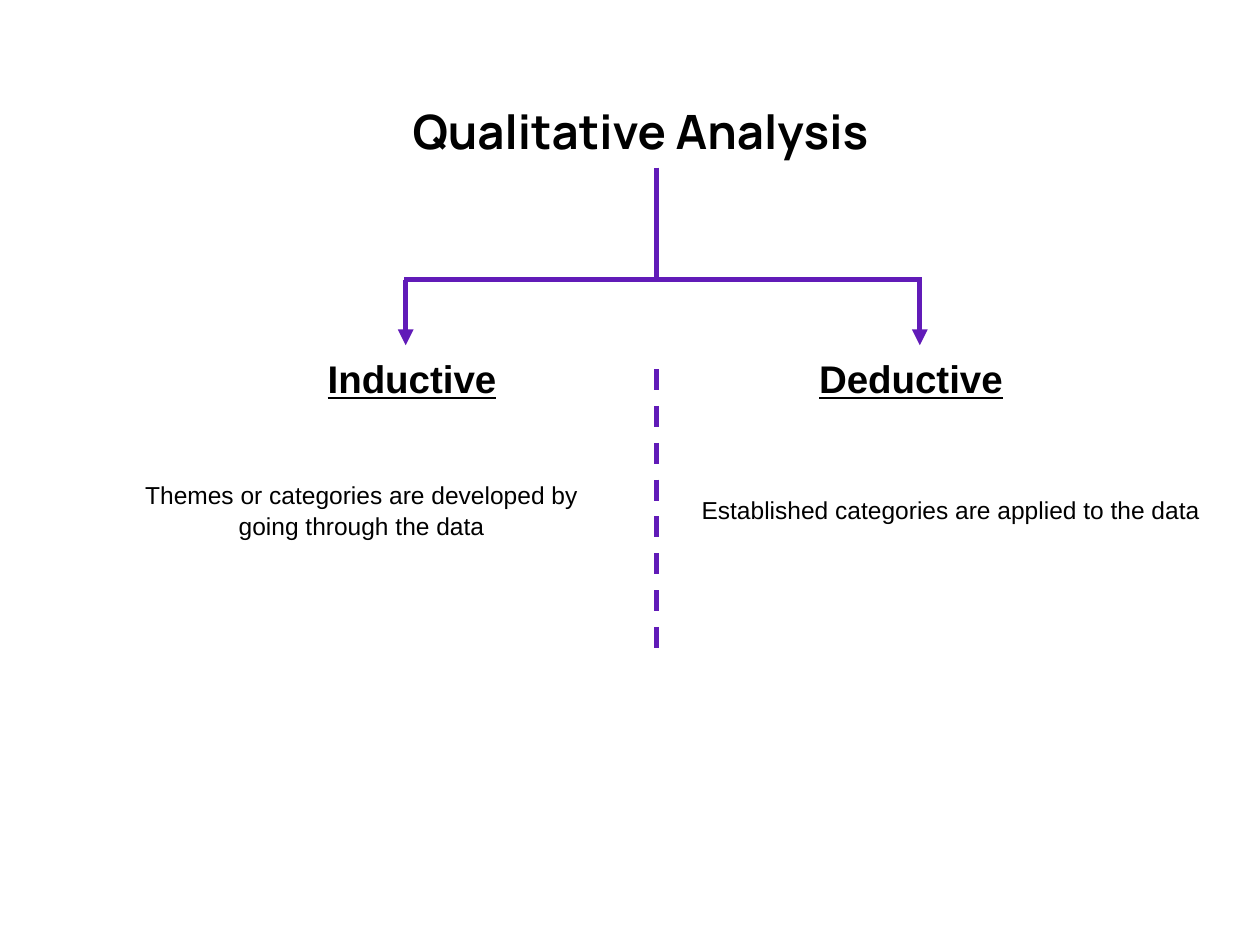
from lxml import etree
from pptx import Presentation
from pptx import util as u
from pptx.dml.color import RGBColor
from pptx.enum import dml, shapes, text
from pptx.oxml import ns

CENTER = text.PP_ALIGN.CENTER


def color(value):
    return RGBColor.from_string(value)


class Deck:
    ink, accent = "000000", "611BB8"
    body_font, title_font = "Arial", "Manrope"

    def __init__(self, width, height):
        self.prs = Presentation()
        self.prs.slide_width, self.prs.slide_height = u.Inches(width), u.Inches(height)
        self.s = self.prs.slides.add_slide(self.prs.slide_layouts[5])

    def set_text(self, tf, words, size, align=CENTER, name=None, bold=False, underline=False):
        p = tf.paragraphs[0]
        p.text, p.alignment = words, align
        f = p.font
        f.name, f.size = name or self.body_font, u.Pt(size)
        f.bold, f.underline = bold, underline
        f.color.rgb = color(self.ink)

    def title(self, words, left, top, width, height):
        sp = self.s.shapes.title
        sp.left, sp.top = u.Inches(left), u.Inches(top)
        sp.width, sp.height = u.Inches(width), u.Inches(height)
        sp.text_frame.vertical_anchor = text.MSO_ANCHOR.MIDDLE
        self.set_text(sp.text_frame, words, 27, name=self.title_font, bold=True)

    def headings(self, words, left, top, width, height):
        """Add a one-row table without fills, one heading to a cell."""
        frame = self.s.shapes.add_table(1, len(words), u.Inches(left), u.Inches(top),
                                        u.Inches(width), u.Inches(height))
        for cell, word in zip(frame.table.rows[0].cells, words):
            cell.fill.background()
            cell.margin_left = cell.margin_right = u.Inches(0.1)
            cell.margin_top = cell.margin_bottom = u.Inches(0.1)
            self.set_text(cell.text_frame, word, 22, bold=True, underline=True)

    def line(self, x1, y1, x2, y2, dash=False, arrow=False):
        c = self.s.shapes.add_connector(shapes.MSO_CONNECTOR.STRAIGHT, u.Inches(x1),
                                        u.Inches(y1), u.Inches(x2), u.Inches(y2))
        c.line.color.rgb, c.line.width = color(self.accent), u.Pt(3)
        if dash:
            c.line.dash_style = dml.MSO_LINE.DASH
        if arrow:
            ln = c._element.spPr.find(ns.qn("a:ln"))
            etree.SubElement(ln, ns.qn("a:tailEnd"), type="triangle")
        etree.SubElement(c._element.spPr, ns.qn("a:effectLst"))

    def note(self, words, left, top, width, height, align=CENTER, wrap=True):
        tf = self.s.shapes.add_textbox(u.Inches(left), u.Inches(top),
                                       u.Inches(width), u.Inches(height)).text_frame
        tf.word_wrap = wrap
        self.set_text(tf, words, 14, align)
        tf.paragraphs[0].line_spacing = 1.07


def main():
    deck = Deck(10, 7.5)
    deck.title("Qualitative Analysis ", 3.06, 0.56, 4.12, 0.96)
    deck.headings(["Inductive", "Deductive"], 1.29, 2.75, 7.92, 0.42)

    stem, branches, bar = 5.21, (3.22, 7.3), 2.22
    deck.line(stem, 2.93, stem, 5.18, dash=True)
    for x in branches:
        deck.line(x, bar, x, 2.74, arrow=True)
    deck.line(branches[0] - 0.01, bar, branches[1] + 0.02, bar)
    deck.line(stem, 1.33, stem, bar)

    deck.note("Themes or categories are developed by going through the data",
              0.88, 3.74, 3.98, 0.81)
    deck.note("Established categories are applied to the data",
              5.47, 3.86, 4.17, 0.57, text.PP_ALIGN.LEFT, wrap=False)
    deck.prs.save("out.pptx")


if __name__ == "__main__":
    main()
